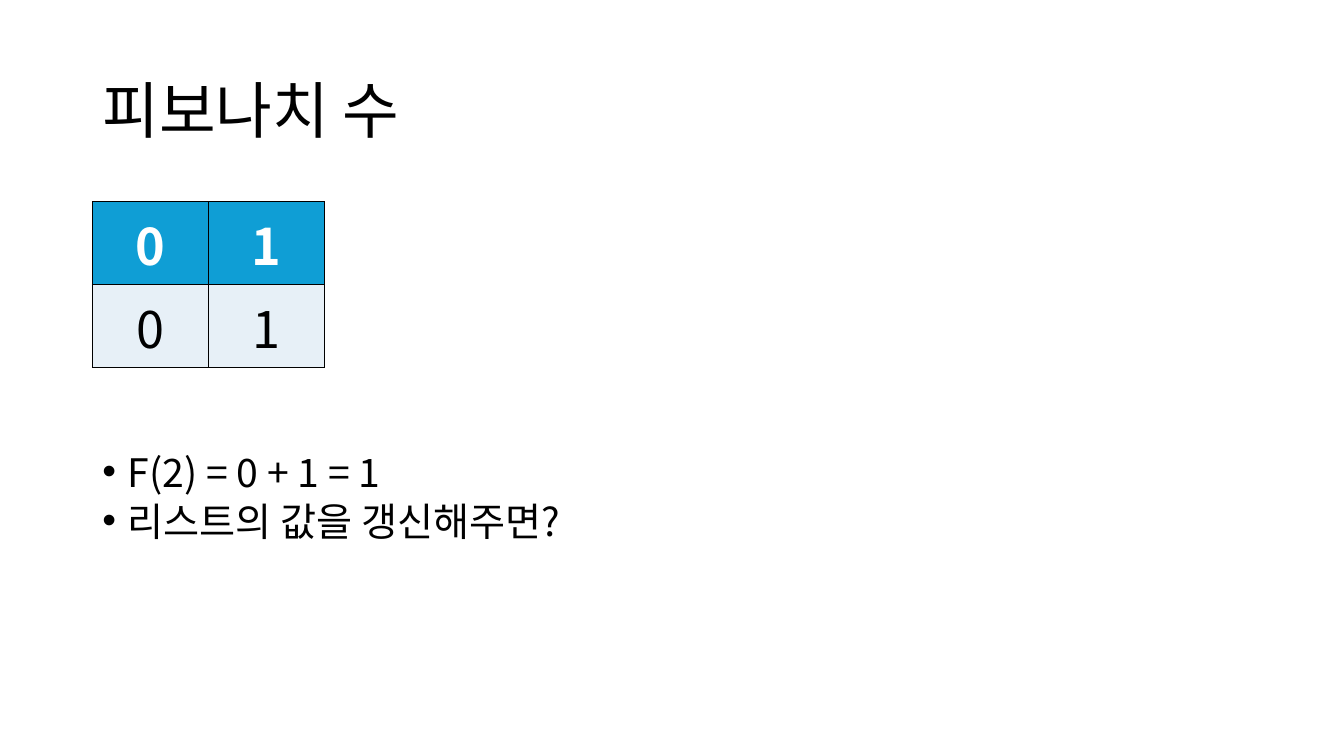
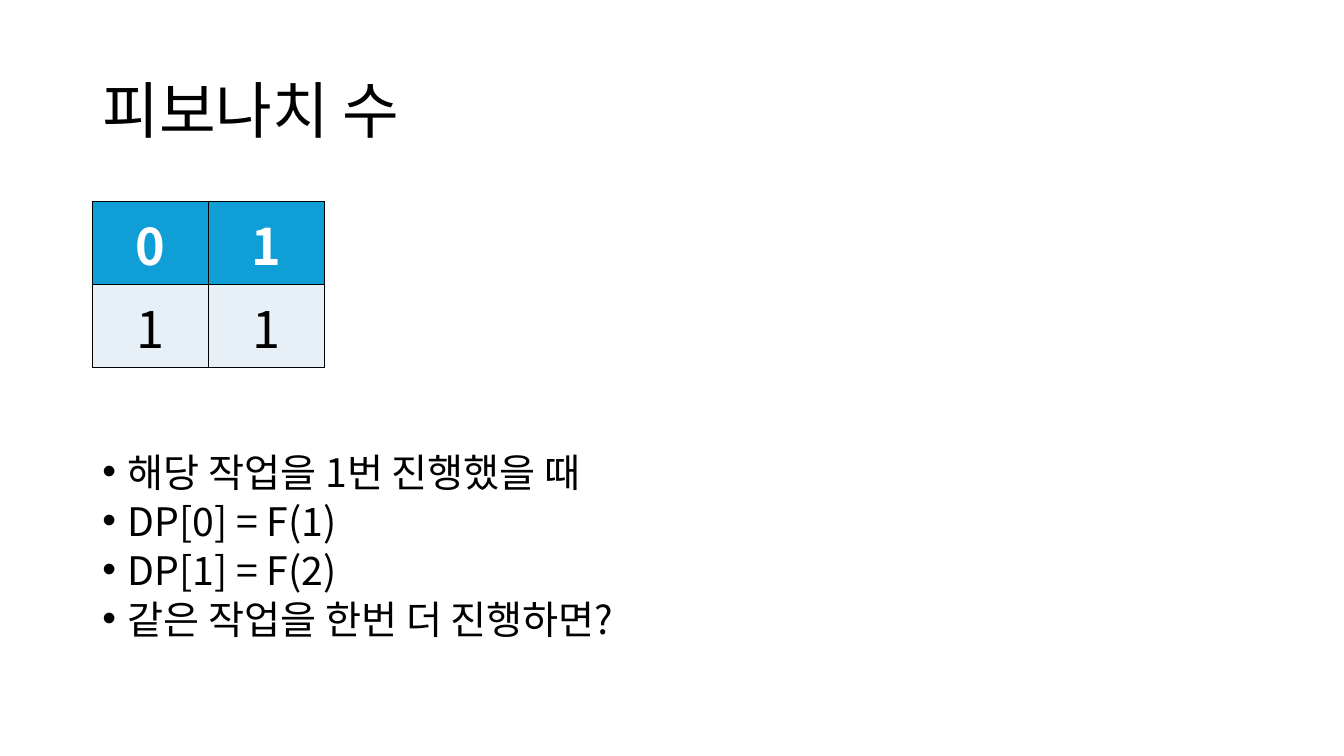
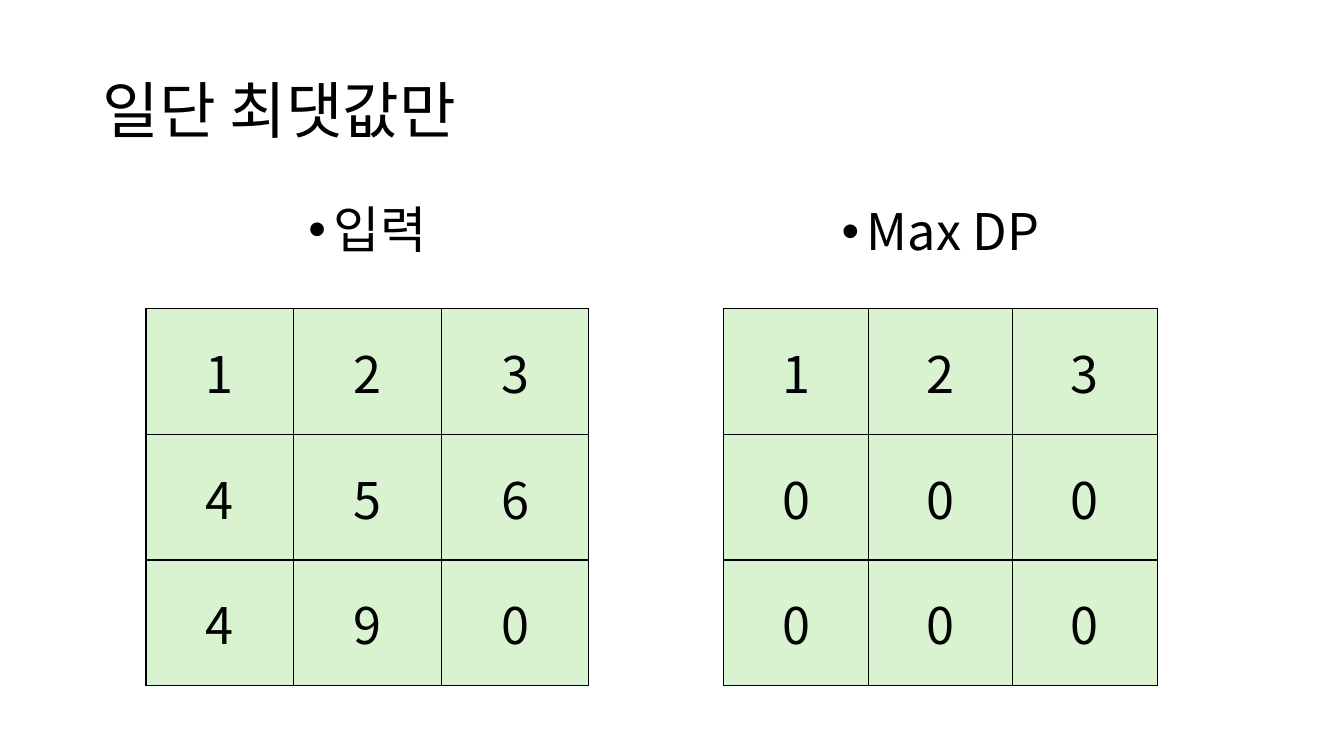
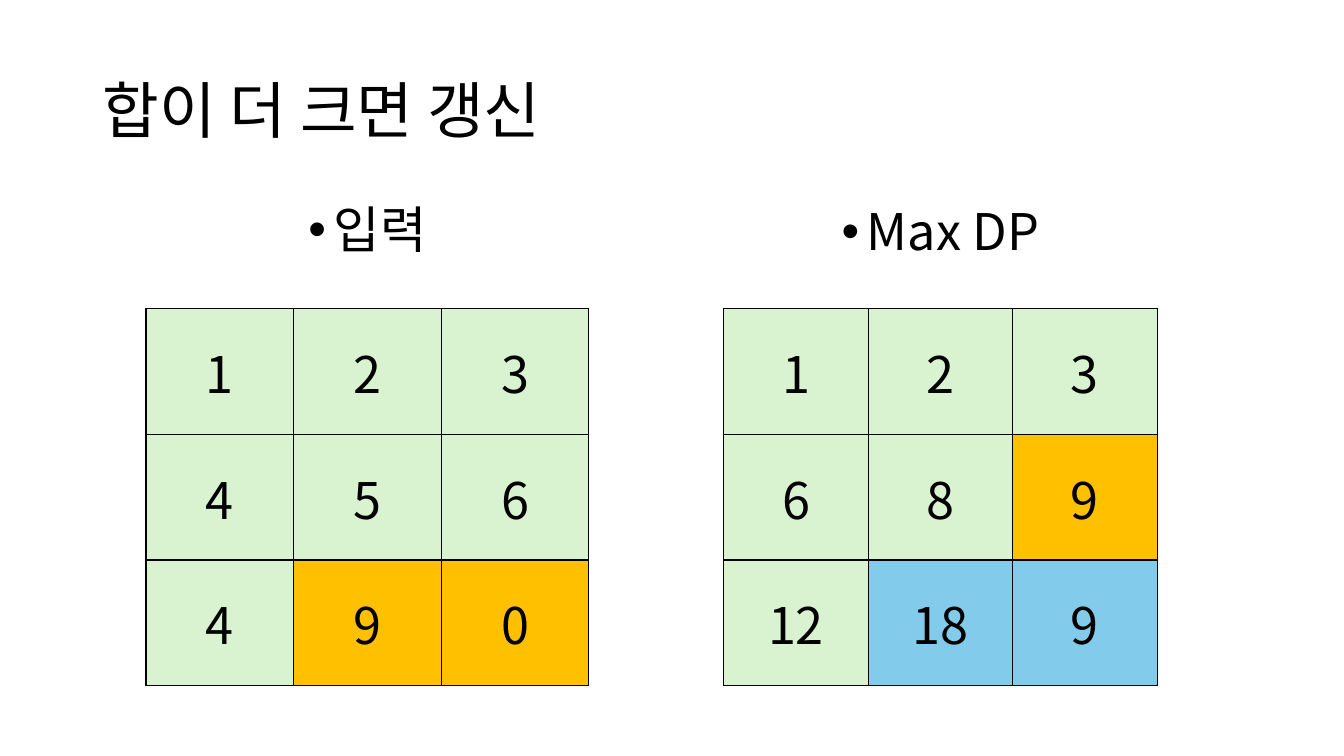
from lxml import etree
from pptx import Presentation
from pptx.dml.color import RGBColor
from pptx.enum.text import MSO_ANCHOR, MSO_AUTO_SIZE, PP_ALIGN
from pptx.oxml.ns import qn
from pptx.util import Cm, Pt

CENTER = PP_ALIGN.CENTER
LEFT = PP_ALIGN.LEFT
MIDDLE = MSO_ANCHOR.MIDDLE
TOP = MSO_ANCHOR.TOP
NO_AUTOFIT = MSO_AUTO_SIZE.NONE

FONT = "Noto Sans CJK KR"
BLACK, WHITE = "000000", "FFFFFF"
HEADER, BODY = "0F9ED5", "E7F0F7"
GREEN, ORANGE, BLUE = "D9F2D0", "FFC000", "83CBEB"

TITLE_ONLY = 5
MARGIN, CONTENT_WIDTH = 2.33, 29.21
LABEL_WIDTH, LABEL_HEIGHT = 8.66, 2.29
GRID_TOP, GRID_ROW = 7.77, 3.17
INPUT_LEFT, INPUT_COLUMN, INPUT_LABEL_TOP = 3.68, 3.72, 4.7
MAX_LEFT, MAX_COLUMN, MAX_LABEL_TOP = 18.24, 3.64, 4.75

INPUT_VALUES = [[1, 2, 3], [4, 5, 6], [4, 9, 0]]


def color(hex_text):
    return RGBColor.from_string(hex_text)


def add_text(para, text, size, hex_text=BLACK, bold=False):
    span = para.add_run()
    span.text = text
    span.font.name = FONT
    span.font.size = Pt(size)
    span.font.bold = bold
    span.font.color.rgb = color(hex_text)
    east_asian = etree.SubElement(span.font._element, qn("a:ea"))
    east_asian.set("typeface", FONT)


def add_page(deck, title):
    page = deck.slides.add_slide(deck.slide_layouts[TITLE_ONLY])
    box = page.shapes.title
    box.left, box.top = Cm(MARGIN), Cm(1.02)
    box.width, box.height = Cm(CONTENT_WIDTH), Cm(3.68)
    frame = box.text_frame
    frame.word_wrap = True
    frame.auto_size = NO_AUTOFIT
    frame.vertical_anchor = MIDDLE
    para = frame.paragraphs[0]
    para.alignment = LEFT
    para.line_spacing = 0.9
    add_text(para, title, 44)
    return page


def set_bullet(para):
    properties = para._p.get_or_add_pPr()
    properties.set("marL", str(Cm(0.64)))
    properties.set("indent", str(-Cm(0.64)))
    etree.SubElement(properties, qn("a:buFont")).set("typeface", "Arial")
    etree.SubElement(properties, qn("a:buChar")).set("char", "•")


def add_bullets(page, lines, left, top, width, height, size,
                alignment=LEFT, anchor=TOP, spacing=0.8, before=8):
    box = page.shapes.add_textbox(Cm(left), Cm(top), Cm(width), Cm(height))
    frame = box.text_frame
    frame.word_wrap = True
    frame.vertical_anchor = anchor
    for index, line in enumerate(lines):
        para = frame.add_paragraph() if index else frame.paragraphs[0]
        para.alignment = alignment
        para.line_spacing = spacing
        para.space_before = Pt(before)
        set_bullet(para)
        add_text(para, line, size)


def set_borders(cell):
    properties = cell._tc.get_or_add_tcPr()
    for side in ("a:lnL", "a:lnR", "a:lnT", "a:lnB"):
        line = etree.SubElement(properties, qn(side), w=str(Pt(1)))
        fill = etree.SubElement(line, qn("a:solidFill"))
        etree.SubElement(fill, qn("a:srgbClr"), val=BLACK)


def add_grid(page, values, fills, left, top, column_width, row_height, header=False):
    rows, columns = len(values), len(values[0])
    table = page.shapes.add_table(
        rows, columns, Cm(left), Cm(top),
        Cm(column_width * columns), Cm(row_height * rows)).table
    table.first_row = header
    table.horz_banding = False
    for column in table.columns:
        column.width = Cm(column_width)
    for row_index, row in enumerate(table.rows):
        row.height = Cm(row_height)
        is_header = header and row_index == 0
        for column_index, cell in enumerate(row.cells):
            set_borders(cell)
            cell.fill.solid()
            cell.fill.fore_color.rgb = color(fills[row_index][column_index])
            cell.vertical_anchor = MIDDLE
            para = cell.text_frame.paragraphs[0]
            para.alignment = CENTER
            add_text(para, str(values[row_index][column_index]), 36,
                     WHITE if is_header else BLACK, is_header)


def add_fibonacci_page(deck, values, lines):
    page = add_page(deck, "피보나치 수")
    add_grid(page, [[0, 1], values], [[HEADER] * 2, [BODY] * 2],
             MARGIN, 5.08, 2.92, 2.09, header=True)
    add_bullets(page, lines, MARGIN, 11.4, CONTENT_WIDTH, 5.77, 28)


def add_labelled_grid(page, label, label_top, values, marks, left, column_width):
    fills = [[marks.get((row, column), GREEN) for column in range(3)]
             for row in range(3)]
    add_grid(page, values, fills, left, GRID_TOP, column_width, GRID_ROW)
    label_left = left + (3 * column_width - LABEL_WIDTH) / 2
    add_bullets(page, [label], label_left, label_top, LABEL_WIDTH, LABEL_HEIGHT,
                36, CENTER, MIDDLE, 0.9, 10)


def add_maximum_page(deck, title, max_values, input_marks, max_marks):
    page = add_page(deck, title)
    add_labelled_grid(page, "입력", INPUT_LABEL_TOP, INPUT_VALUES, input_marks,
                      INPUT_LEFT, INPUT_COLUMN)
    add_labelled_grid(page, "Max DP", MAX_LABEL_TOP, max_values, max_marks,
                      MAX_LEFT, MAX_COLUMN)


def main():
    deck = Presentation()
    deck.slide_width, deck.slide_height = Cm(33.87), Cm(19.05)
    add_fibonacci_page(deck, [0, 1], ["F(2) = 0 + 1 = 1", "리스트의 값을 갱신해주면?"])
    add_fibonacci_page(deck, [1, 1], [
        "해당 작업을 1번 진행했을 때",
        "DP[0] = F(1)",
        "DP[1] = F(2)",
        "같은 작업을 한번 더 진행하면?",
    ])
    add_maximum_page(deck, "일단 최댓값만", [[1, 2, 3], [0, 0, 0], [0, 0, 0]], {}, {})
    add_maximum_page(deck, "합이 더 크면 갱신", [[1, 2, 3], [6, 8, 9], [12, 18, 9]],
                     {(2, 1): ORANGE, (2, 2): ORANGE},
                     {(1, 2): ORANGE, (2, 1): BLUE, (2, 2): BLUE})
    deck.save("out.pptx")


if __name__ == "__main__":
    main()
